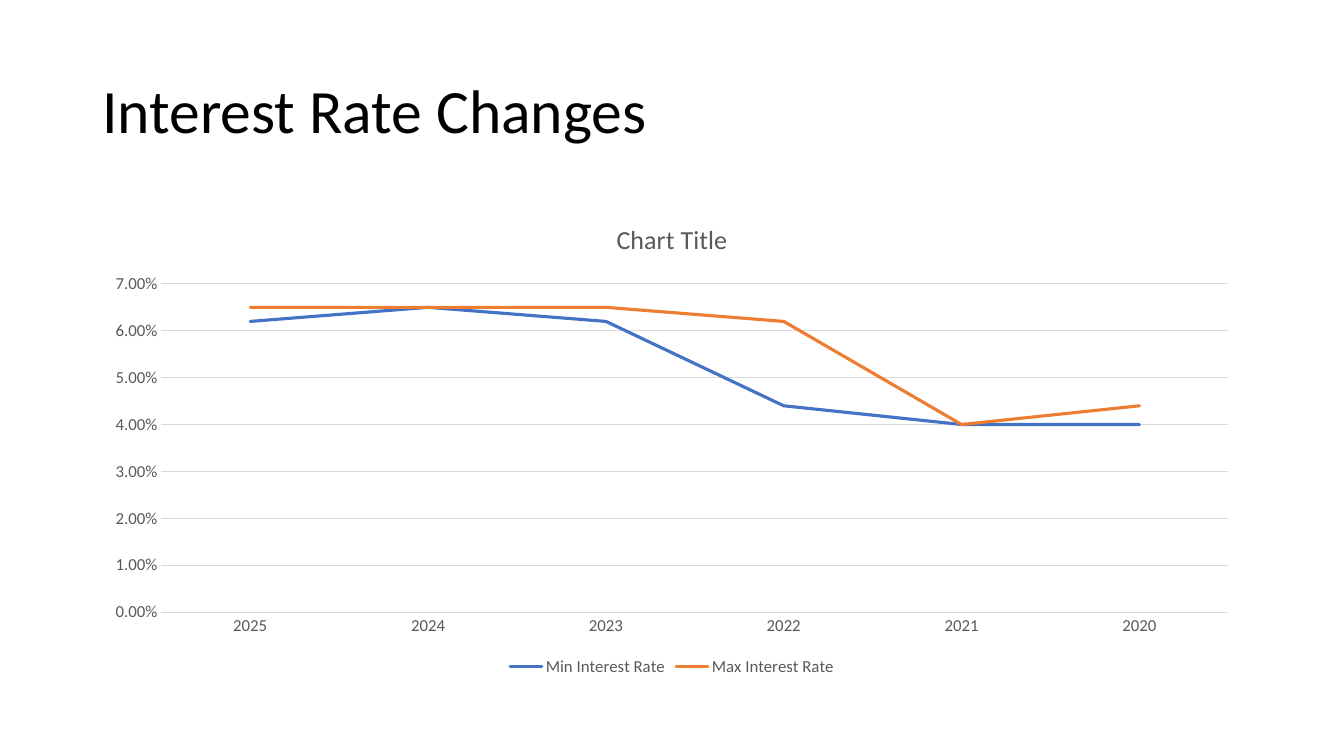
from dataclasses import dataclass

from pptx import Presentation as Deck
from pptx.chart.axis import CategoryAxis as CatAxis, ValueAxis as ValAxis
from pptx.chart.chart import Chart
from pptx.chart.data import CategoryChartData as Data
from pptx.chart.series import LineSeries as Line
from pptx.dml.color import RGBColor as Rgb
from pptx.dml.line import LineFormat as Stroke
from pptx.enum.chart import XL_CHART_TYPE as Kind
from pptx.enum.chart import XL_LEGEND_POSITION as Side
from pptx.enum.chart import XL_MARKER_STYLE as Mark
from pptx.enum.chart import XL_TICK_MARK as Tick
from pptx.enum.text import MSO_ANCHOR as Anchor
from pptx.oxml.ns import qn
from pptx.slide import Slide
from pptx.text.text import Font
from pptx.util import Pt

FACE = "Calibri"
HUES = {
    "black": "000000",
    "gray": "595959",
    "rule": "D9D9D9",
    "blue": "4472C4",
    "orange": "ED7D31",
}
YEARS = ["2025", "2024", "2023", "2022", "2021", "2020"]
LEFT, WIDTH = 66, 828


@dataclass
class Rate:
    name: str
    hue: str
    vals: tuple[float, ...]


RATES = [
    Rate("Min Interest Rate", "blue", (0.062, 0.065, 0.062, 0.044, 0.04, 0.04)),
    Rate("Max Interest Rate", "orange", (0.065, 0.065, 0.065, 0.062, 0.04, 0.044)),
]


def style(font: Font, size: float, hue: str) -> None:
    font.name = FACE
    font.size = Pt(size)
    font.bold = False
    font.color.rgb = Rgb.from_string(HUES[hue])


def stroke(line: Stroke, hue: str, width: float) -> None:
    line.color.rgb = Rgb.from_string(HUES[hue])
    line.width = Pt(width)


def add_title(slide: Slide, text: str) -> None:
    box = slide.shapes.add_textbox(Pt(LEFT), Pt(28.75), Pt(WIDTH), Pt(104.4))
    frame = box.text_frame
    frame.word_wrap = True
    frame.vertical_anchor = Anchor.MIDDLE
    para = frame.paragraphs[0]
    para.line_spacing = 0.9
    run = para.add_run()
    run.text = text
    style(run.font, 44, "black")


def set_axis(axis: CatAxis | ValAxis) -> None:
    axis.major_tick_mark = Tick.NONE
    axis.minor_tick_mark = Tick.NONE
    style(axis.tick_labels.font, 12, "gray")


def set_line(line: Line, rate: Rate) -> None:
    line.smooth = False
    line.marker.style = Mark.NONE
    stroke(line.format.line, rate.hue, 2.25)
    line._element.find(f"{qn('c:spPr')}/{qn('a:ln')}").set("cap", "rnd")


def set_head(chart: Chart, text: str) -> None:
    chart.has_title = True
    head = chart.chart_title
    head.include_in_layout = False
    run = head.text_frame.paragraphs[0].add_run()
    run.text = text
    style(run.font, 18.6, "gray")


def add_rates(slide: Slide) -> None:
    data = Data(number_format="0.00%")
    data.categories = YEARS
    for rate in RATES:
        data.add_series(rate.name, rate.vals)
    chart = slide.shapes.add_chart(
        Kind.LINE, Pt(LEFT), Pt(143.75), Pt(WIDTH), Pt(342.6), data
    ).chart
    style(chart.font, 10, "black")
    set_head(chart, "Chart Title")

    plot = chart.plots[0]
    plot.vary_by_categories = False
    for line, rate in zip(plot.series, RATES):
        set_line(line, rate)

    years, rates = chart.category_axis, chart.value_axis
    for axis in (years, rates):
        set_axis(axis)
    stroke(years.format.line, "rule", 0.75)
    rates.format.line.fill.background()
    rates.minimum_scale, rates.maximum_scale = 0, 0.07
    rates.major_unit = 0.01
    rates.tick_labels.number_format = "0.00%"
    rates.tick_labels.number_format_is_linked = False
    rates.has_major_gridlines = True
    stroke(rates.major_gridlines.format.line, "rule", 0.75)

    chart.has_legend = True
    chart.legend.position = Side.BOTTOM
    chart.legend.include_in_layout = False
    style(chart.legend.font, 12, "gray")


def main() -> None:
    deck = Deck()
    deck.slide_width, deck.slide_height = Pt(960), Pt(540)
    slide = deck.slides.add_slide(deck.slide_layouts[6])
    add_title(slide, "Interest Rate Changes")
    add_rates(slide)
    deck.save("out.pptx")


if __name__ == "__main__":
    main()
